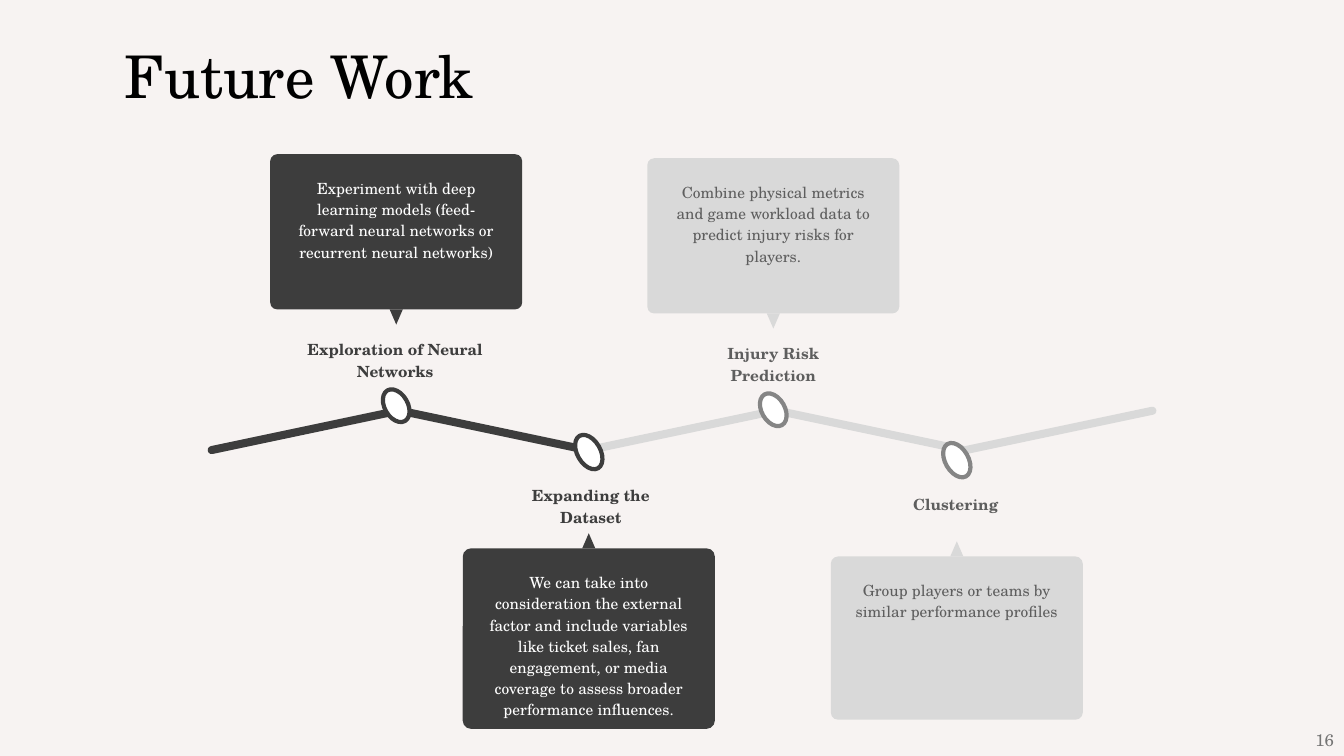
"""Build the Future Work slide: a zigzag timeline with four milestones."""
from dataclasses import dataclass

import pptx
import pptx.dml.color
import pptx.enum.shapes
import pptx.enum.text
import pptx.shapes.autoshape
import pptx.util

Inches = pptx.util.Inches
RGBColor = pptx.dml.color.RGBColor
Shape = pptx.enum.shapes.MSO_SHAPE
Align = pptx.enum.text.PP_ALIGN
Anchor = pptx.enum.text.MSO_ANCHOR

FONT = "TeX Gyre Schola"
PAPER = RGBColor(0xF7, 0xF3, 0xF2)
BLACK = RGBColor(0x00, 0x00, 0x00)
WHITE = RGBColor(0xFF, 0xFF, 0xFF)
CHARCOAL = RGBColor(0x3D, 0x3D, 0x3D)
SILVER = RGBColor(0xD9, 0xD9, 0xD9)
GREY = RGBColor(0x85, 0x85, 0x85)
DIM = RGBColor(0x5E, 0x5E, 0x5E)
PAGE_GREY = RGBColor(0x75, 0x75, 0x75)

CARD_WIDTH = 2.5
BODY_WIDTH = 2.37
POINTER_WIDTH, POINTER_HEIGHT = 0.13, 0.15
NODE_WIDTH = 0.23
SEGMENT_LEFT, SEGMENT_TOP, SEGMENT_STEP = 2.04, 4.23, 1.87
SEGMENT_WIDTH, SEGMENT_HEIGHT, SEGMENT_TILT = 1.97, 0.08, 11.9


@dataclass(frozen=True)
class Palette:
    card: RGBColor
    ring: RGBColor
    label: RGBColor
    body: RGBColor


@dataclass(frozen=True)
class Side:
    label_offset: float
    node_offset: float
    node_height: float
    pointer_turn: float


@dataclass(frozen=True)
class Milestone:
    label: str
    body: str
    centre: float
    card_top: float
    card_height: float
    label_centre: float
    label_width: float
    body_height: float
    palette: Palette
    side: Side


DARK = Palette(CHARCOAL, CHARCOAL, CHARCOAL, WHITE)
LIGHT = Palette(SILVER, GREY, DIM, DIM)
ABOVE = Side(1.69, 2.32, 0.35, 180)
BELOW = Side(-0.77, -1.14, 0.37, 0)

MILESTONES = [
    Milestone("Exploration of Neural Networks",
              "Experiment with deep learning models (feed-forward neural "
              "networks or recurrent neural networks)",
              3.93, 1.53, 1.54, 3.92, 2.26, 1.37, DARK, ABOVE),
    Milestone("Expanding the Dataset",
              "We can take into consideration the external factor and include "
              "variables like ticket sales, fan engagement, or media coverage "
              "to assess broader performance influences.",
              5.84, 5.44, 1.79, 5.86, 1.82, 2.16, DARK, BELOW),
    Milestone("Injury Risk Prediction",
              "Combine physical metrics and game workload data to predict "
              "injury risks for players.",
              7.67, 1.57, 1.54, 7.67, 1.45, 1.37, LIGHT, ABOVE),
    Milestone("Clustering",
              "Group players or teams by similar performance profiles",
              9.49, 5.52, 1.62, 9.48, 1.26, 1.44, LIGHT, BELOW),
]
SEGMENT_COLOURS = [CHARCOAL, CHARCOAL, SILVER, SILVER, SILVER]


def write_text(holder, text: str, *, size: float = 11, colour: RGBColor = BLACK,
               bold: bool = False, align: Align = Align.CENTER,
               anchor: Anchor = Anchor.TOP, inset: float = 0.13,
               line_spacing: float = 1.0, space_after: float = 0) -> None:
    frame = holder.text_frame
    frame.word_wrap = True
    frame.auto_size = pptx.enum.text.MSO_AUTO_SIZE.NONE
    frame.vertical_anchor = anchor
    frame.margin_left = frame.margin_right = Inches(inset)
    frame.margin_top = frame.margin_bottom = Inches(inset)
    paragraph = frame.paragraphs[0]
    paragraph.alignment = align
    paragraph.line_spacing = line_spacing
    paragraph.space_before = pptx.util.Pt(0)
    paragraph.space_after = pptx.util.Pt(space_after)
    run = paragraph.add_run()
    run.text = text
    run.font.name = FONT
    run.font.size = pptx.util.Pt(size)
    run.font.bold = bold
    run.font.color.rgb = colour


def draw_shape(shapes, kind: Shape, left: float, top: float, width: float,
               height: float, fill: RGBColor, *, turn: float = 0,
               rounding: float | None = None,
               ring: RGBColor | None = None) -> pptx.shapes.autoshape.Shape:
    shape = shapes.add_shape(kind, Inches(left), Inches(top),
                             Inches(width), Inches(height))
    shape.shadow.inherit = False
    shape.rotation = turn
    shape.fill.solid()
    shape.fill.fore_color.rgb = fill
    if rounding is not None:
        shape.adjustments[0] = rounding
    if ring is None:
        shape.line.fill.background()
    else:
        shape.line.color.rgb = ring
        shape.line.width = pptx.util.Pt(3)
    return shape


def draw_text(shapes, left: float, top: float, width: float, height: float,
              text: str, **style) -> None:
    box = shapes.add_textbox(Inches(left), Inches(top), Inches(width), Inches(height))
    write_text(box, text, **style)


def draw_timeline(shapes) -> None:
    for index, colour in reversed(list(enumerate(SEGMENT_COLOURS))):
        tilt = SEGMENT_TILT if index % 2 else 360 - SEGMENT_TILT
        draw_shape(shapes, Shape.ROUNDED_RECTANGLE,
                   SEGMENT_LEFT + index * SEGMENT_STEP, SEGMENT_TOP,
                   SEGMENT_WIDTH, SEGMENT_HEIGHT, colour, turn=tilt, rounding=0.5)


def draw_milestone(shapes, item: Milestone) -> None:
    palette, side = item.palette, item.side
    parts = shapes.add_group_shape().shapes
    pointer_top = (item.card_top + item.card_height if side is ABOVE
                   else item.card_top - POINTER_HEIGHT)
    draw_shape(parts, Shape.ROUNDED_RECTANGLE, item.centre - CARD_WIDTH / 2,
               item.card_top, CARD_WIDTH, item.card_height, palette.card,
               rounding=0.045)
    draw_shape(parts, Shape.ISOSCELES_TRIANGLE, item.centre - POINTER_WIDTH / 2,
               pointer_top, POINTER_WIDTH, POINTER_HEIGHT, palette.card,
               turn=side.pointer_turn)
    draw_shape(parts, Shape.OVAL, item.centre - NODE_WIDTH / 2,
               item.card_top + side.node_offset, NODE_WIDTH, side.node_height,
               WHITE, turn=330.2, ring=palette.ring)
    draw_text(parts, item.label_centre - item.label_width / 2,
              item.card_top + side.label_offset, item.label_width, 0.62,
              item.label, colour=palette.label, bold=True,
              line_spacing=1.15, space_after=21)
    draw_text(parts, item.centre - BODY_WIDTH / 2, item.card_top + 0.09,
              BODY_WIDTH, item.body_height, item.body, colour=palette.body,
              line_spacing=1.15, space_after=21)


def main() -> None:
    deck = pptx.Presentation()
    deck.slide_width, deck.slide_height = Inches(13.33), Inches(7.5)
    slide = deck.slides.add_slide(deck.slide_layouts.get_by_name("Title Only"))
    slide.background.fill.solid()
    slide.background.fill.fore_color.rgb = PAPER

    heading = slide.shapes.title
    heading.left, heading.top = Inches(-0.26), Inches(0.39)
    heading.width, heading.height = Inches(6.45), Inches(1.44)
    write_text(heading, "Future Work", size=42, inset=0)

    draw_timeline(slide.shapes)
    for item in MILESTONES:
        draw_milestone(slide.shapes, item)
    draw_text(slide.shapes, 10.33, 7.14, 3, 0.4, "16", size=12, colour=PAGE_GREY,
              align=Align.RIGHT, anchor=Anchor.MIDDLE, inset=0.1)
    deck.save("out.pptx")


if __name__ == "__main__":
    main()
